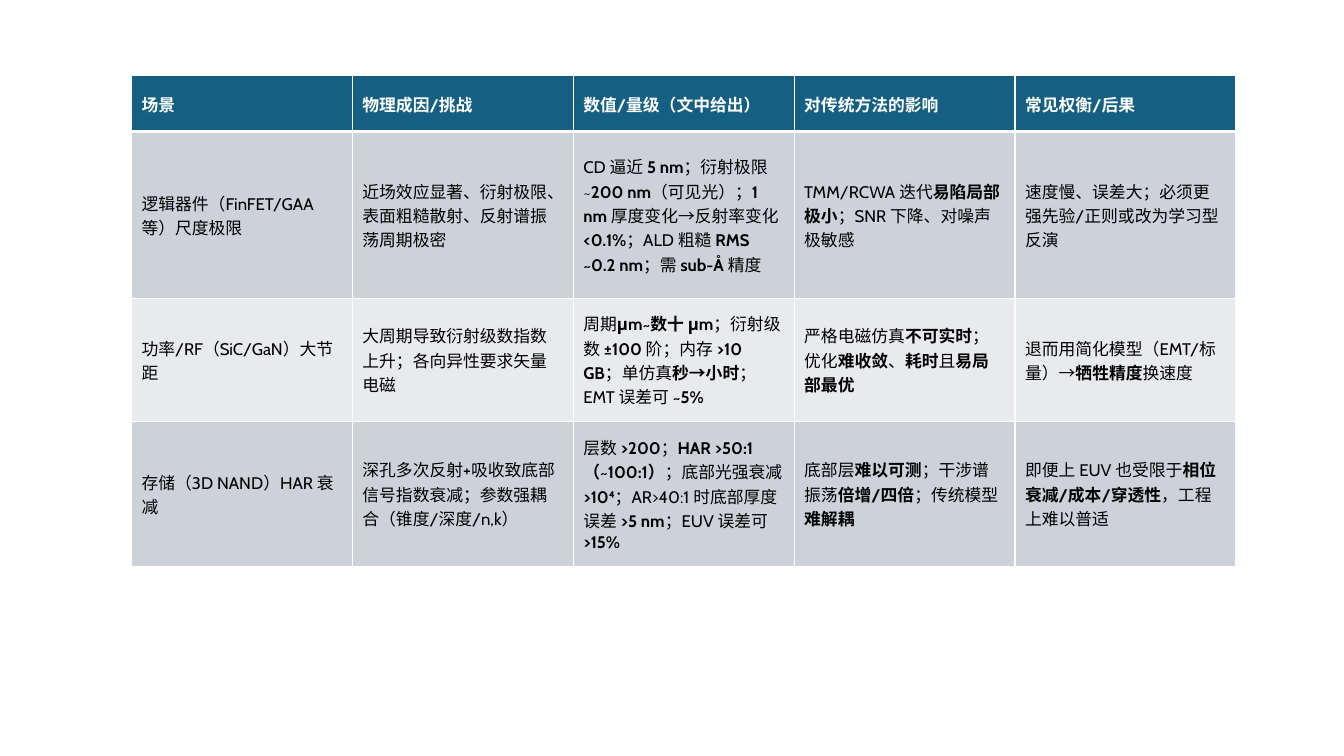
"""Build a slide with a table of metrology limits by device scenario."""
import dataclasses

import lxml.etree
import pptx
import pptx.dml.color
import pptx.enum.text
import pptx.oxml.ns
import pptx.table
import pptx.util


@dataclasses.dataclass(frozen=True)
class Theme:
    font: str = "Cabin"
    text_size: float = 12
    header_text: str = "FFFFFF"
    body_text: str = "000000"
    header_fill: str = "156082"
    odd_fill: str = "CCD2D8"
    even_fill: str = "E8EAED"
    border: str = "FFFFFF"
    thin: float = 1
    thick: float = 3


@dataclasses.dataclass(frozen=True)
class Band:
    height: float
    fill: str
    color: str
    texts: tuple[str, ...]
    header: bool = False
    top: float = 1
    bottom: float = 1


THEME = Theme()
SLIDE_WIDTH, SLIDE_HEIGHT = 960, 540
TABLE_LEFT, TABLE_TOP = 93.9, 54.2
COLUMN_WIDTH = 157.8
BOLD_MARK = "*"

BANDS = (
    Band(39.8, THEME.header_fill, THEME.header_text, (
        "场景",
        "物理成因/挑战",
        "数值/量级（文中给出）",
        "对传统方法的影响",
        "常见权衡/后果",
    ), header=True, bottom=THEME.thick),
    Band(119.4, THEME.odd_fill, THEME.body_text, (
        "逻辑器件（FinFET/GAA 等）尺度极限",
        "近场效应显著、衍射极限、表面粗糙散射、反射谱振荡周期极密",
        "CD 逼近 *5 nm*；衍射极限 ~*200 nm*（可见光）；*1 nm *厚度变化→反射率变化 "
        "*<0.1%*；ALD 粗糙 *RMS ~0.2 nm*；需 *sub-Å *精度",
        "TMM/RCWA 迭代*易陷局部极小*；SNR 下降、对噪声极敏感",
        "速度慢、误差大；必须更强先验/正则或改为学习型反演",
    ), top=THEME.thick),
    Band(87.6, THEME.even_fill, THEME.body_text, (
        "功率/RF（SiC/GaN）大节距",
        "大周期导致衍射级数指数上升；各向异性要求矢量电磁",
        "周期*μm~数十 μm*；衍射级数 *±100* 阶；内存 *>10 GB*；单仿真*秒→小时*；"
        "EMT 误差可 *~5%*",
        "严格电磁仿真*不可实时*；优化*难收敛*、*耗时*且*易局部最优*",
        "退而用简化模型（EMT/标量）→*牺牲精度*换速度",
    )),
    Band(103.8, THEME.odd_fill, THEME.body_text, (
        "存储（3D NAND）HAR 衰减",
        "深孔多次反射+吸收致底部信号指数衰减；参数强耦合（锥度/深度/n,k）",
        "层数 *>200*；*HAR >50:1（~100:1）*；底部光强衰减 *>10⁴*；AR>40:1 时底部厚度误差 "
        "*>5 nm*；EUV 误差可 *>15%*",
        "底部层*难以可测*；干涉谱振荡*倍增/四倍*；传统模型*难解耦*",
        "即便上 EUV 也受限于*相位衰减/成本/穿透性*，工程上难以普适",
    )),
)


def draw_borders(cell: pptx.table._Cell, band: Band) -> None:
    """Line the four sides of a cell."""
    properties = cell._tc.get_or_add_tcPr()
    sides = {"lnL": THEME.thin, "lnR": THEME.thin, "lnT": band.top, "lnB": band.bottom}
    for side, width in sides.items():
        line = lxml.etree.SubElement(
            properties, pptx.oxml.ns.qn(f"a:{side}"), w=str(pptx.util.Pt(width)))
        solid = lxml.etree.SubElement(line, pptx.oxml.ns.qn("a:solidFill"))
        lxml.etree.SubElement(solid, pptx.oxml.ns.qn("a:srgbClr"), val=THEME.border)


def write_cell(cell: pptx.table._Cell, band: Band, text: str) -> None:
    """Write text into a cell, with marked stretches in bold."""
    cell.vertical_anchor = pptx.enum.text.MSO_ANCHOR.MIDDLE
    paragraph = cell.text_frame.paragraphs[0]
    for index, stretch in enumerate(text.split(BOLD_MARK)):
        if not stretch:
            continue
        run = paragraph.add_run()
        run.text = stretch
        font_format = {
            "name": THEME.font,
            "size": pptx.util.Pt(THEME.text_size),
            "bold": band.header or index % 2 == 1,
        }
        for attribute, value in font_format.items():
            setattr(run.font, attribute, value)
        run.font.color.rgb = pptx.dml.color.RGBColor.from_string(band.color)


def draw_band(table: pptx.table.Table, row_index: int, band: Band) -> None:
    """Format and fill one row of the table."""
    table.rows[row_index].height = pptx.util.Pt(band.height)
    for column_index, text in enumerate(band.texts):
        cell = table.cell(row_index, column_index)
        draw_borders(cell, band)
        cell.fill.solid()
        cell.fill.fore_color.rgb = pptx.dml.color.RGBColor.from_string(band.fill)
        write_cell(cell, band, text)


def main() -> None:
    """Build and save the presentation."""
    presentation = pptx.Presentation()
    presentation.slide_width = pptx.util.Pt(SLIDE_WIDTH)
    presentation.slide_height = pptx.util.Pt(SLIDE_HEIGHT)
    slide = presentation.slides.add_slide(presentation.slide_layouts.get_by_name("Blank"))
    column_count = len(BANDS[0].texts)
    scenarios = slide.shapes.add_table(
        len(BANDS), column_count,
        pptx.util.Pt(TABLE_LEFT), pptx.util.Pt(TABLE_TOP),
        pptx.util.Pt(COLUMN_WIDTH * column_count),
        pptx.util.Pt(sum(band.height for band in BANDS)),
    ).table
    for column in scenarios.columns:
        column.width = pptx.util.Pt(COLUMN_WIDTH)
    for row_index, band in enumerate(BANDS):
        draw_band(scenarios, row_index, band)
    presentation.save("out.pptx")


if __name__ == "__main__":
    main()
